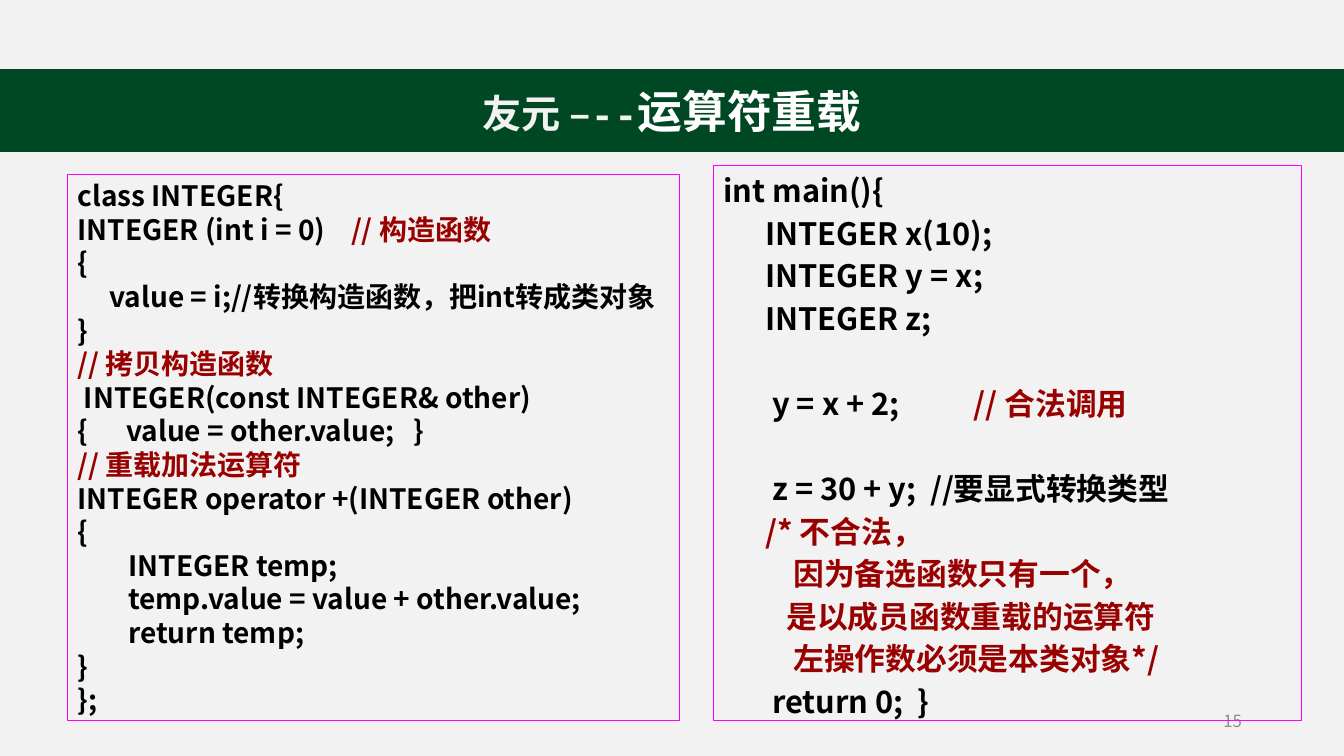
from dataclasses import dataclass

from pptx import Presentation
from pptx.dml.color import RGBColor
from pptx.enum.shapes import MSO_SHAPE as Shape
from pptx.enum.text import MSO_ANCHOR as Anchor, PP_ALIGN as Align
from pptx.oxml.ns import qn
from pptx.util import Pt

COLORS = {
    "background": "F2F2F2",
    "banner": "004723",
    "white": "FFFFFF",
    "code": "000000",
    "comment": "990000",
    "border": "FF00FF",
    "number": "8C8C8C",
}
SANS = "Noto Sans CJK SC"
MONO = "Courier New"
WIDTH, HEIGHT = 960, 540


@dataclass(frozen=True)
class Line:
    code: str = ""
    comment: str = ""
    gap: bool = False  # one line of space above


@dataclass(frozen=True)
class Panel:
    left: float
    top: float
    width: float
    height: float
    size: float
    pitch: float  # distance between baselines
    lines: tuple[Line, ...]


PANELS = (
    Panel(48.24, 124.5, 437, 390.3, 20, 24, (
        Line("class INTEGER{"),
        Line("INTEGER (int i = 0)    ", "// 构造函数"),
        Line("{"),
        Line("     value = i;//转换构造函数，把int转成类对象"),
        Line("}"),
        Line(comment="// 拷贝构造函数"),
        Line(" INTEGER(const INTEGER& other)"),
        Line("{      value = other.value;   }"),
        Line(comment="// 重载加法运算符"),
        Line("INTEGER operator +(INTEGER other)"),
        Line("{"),
        Line("        INTEGER temp;"),
        Line("        temp.value = value + other.value;"),
        Line("        return temp;"),
        Line("}"),
        Line("};"),
    )),
    Panel(509.75, 118.1, 419.8, 396.7, 22, 30.4, (
        Line("int main(){"),
        Line("      INTEGER x(10);"),
        Line("      INTEGER y = x;"),
        Line("      INTEGER z;"),
        Line("       y = x + 2;\t       ", "// 合法调用", gap=True),
        Line("       z = 30 + y;  //要显式转换类型", gap=True),
        Line(comment="      /* 不合法，"),
        Line(comment="          因为备选函数只有一个，"),
        Line(comment="         是以成员函数重载的运算符"),
        Line(comment="          左操作数必须是本类对象*/"),
        Line("       return 0;  }"),
    )),
)


def color(name: str) -> RGBColor:
    return RGBColor.from_string(COLORS[name])


def set_font(font, size: float, color_name: str, bold: bool = True, name: str = SANS) -> None:
    font.size, font.bold, font.name = Pt(size), bold, name
    font.color.rgb = color(color_name)
    # East Asian text takes its own typeface element
    latin = font._element.find(qn("a:latin"))
    east_asian = latin.makeelement(qn("a:ea"), {"typeface": SANS})
    latin.addnext(east_asian)


def add_box(slide, left: float, top: float, width: float, height: float,
            line: str, weight: float, fill: str | None = None):
    shape = slide.shapes.add_shape(Shape.RECTANGLE, Pt(left), Pt(top), Pt(width), Pt(height))
    shape.shadow.inherit = False
    if fill:
        shape.fill.solid()
        shape.fill.fore_color.rgb = color(fill)
    else:
        shape.fill.background()
    shape.line.color.rgb = color(line)
    shape.line.width = Pt(weight)
    shape.text_frame.vertical_anchor = Anchor.MIDDLE
    return shape


def add_panel(slide, panel: Panel) -> None:
    shape = add_box(slide, panel.left, panel.top, panel.width, panel.height, "border", 0.75)
    frame = shape.text_frame
    frame.word_wrap = True
    frame.margin_right = Pt(0)
    for index, line in enumerate(panel.lines):
        paragraph = frame.add_paragraph() if index else frame.paragraphs[0]
        paragraph.alignment = Align.LEFT
        paragraph.line_spacing = Pt(panel.pitch)
        if line.gap:
            paragraph.space_before = Pt(panel.pitch)
        set_font(paragraph.font, panel.size, "code" if line.code else "comment")
        for text, color_name in ((line.code, "code"), (line.comment, "comment")):
            if text:
                run = paragraph.add_run()
                run.text = text
                run.font.color.rgb = color(color_name)


def add_title(slide) -> None:
    shape = add_box(slide, 0, 49.7, WIDTH, 58.3, "banner", 1, fill="banner")
    paragraph = shape.text_frame.paragraphs[0]
    paragraph.alignment = Align.CENTER
    for text, size, color_name, name in (
        ("友元 –--", 28, "background", MONO),
        ("运算符重载", 32, "white", SANS),
    ):
        run = paragraph.add_run()
        run.text = text
        set_font(run.font, size, color_name, name=name)


def add_slide_number(slide) -> None:
    shape = slide.shapes.add_textbox(Pt(678.2), Pt(500.4), Pt(216), Pt(28.8))
    frame = shape.text_frame
    frame.word_wrap = True
    frame.vertical_anchor = Anchor.MIDDLE
    paragraph = frame.paragraphs[0]
    paragraph.alignment = Align.RIGHT
    set_font(paragraph.font, 12, "number", bold=False)
    run = paragraph.add_run()
    run.text = "15"


def main() -> None:
    presentation = Presentation()
    presentation.slide_width, presentation.slide_height = Pt(WIDTH), Pt(HEIGHT)
    slide = presentation.slides.add_slide(presentation.slide_layouts[6])
    slide.background.fill.solid()
    slide.background.fill.fore_color.rgb = color("background")

    add_slide_number(slide)
    add_title(slide)
    for panel in PANELS:
        add_panel(slide, panel)

    presentation.save("out.pptx")


if __name__ == "__main__":
    main()
